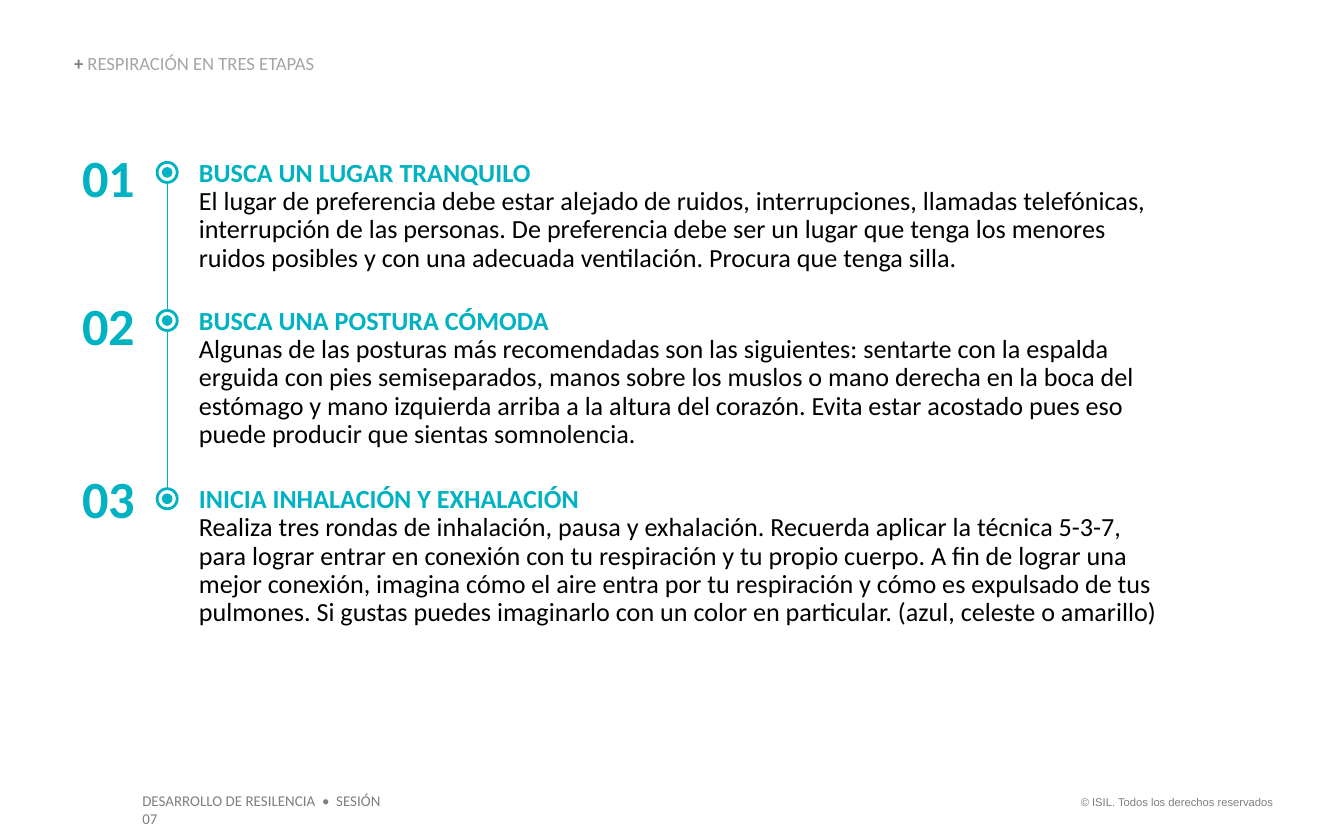
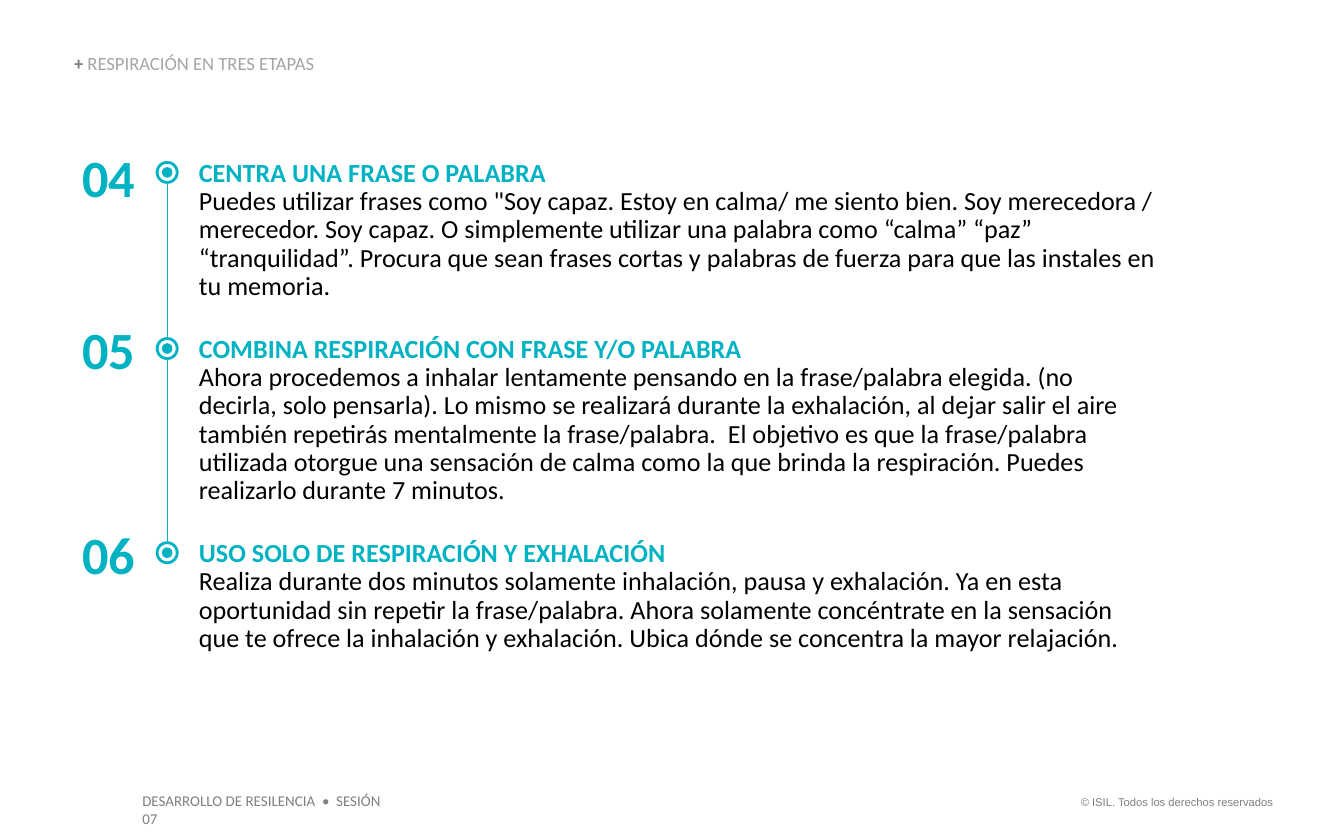
from dataclasses import dataclass

from lxml import etree
from pptx import Presentation
from pptx.dml.color import RGBColor
from pptx.enum.shapes import MSO_CONNECTOR, MSO_SHAPE
from pptx.enum.text import MSO_ANCHOR, MSO_AUTO_SIZE, PP_ALIGN
from pptx.oxml.ns import qn
from pptx.shapes.group import GroupShape
from pptx.slide import Slide
from pptx.text.text import TextFrame
from pptx.util import Cm, Pt

STRAIGHT = MSO_CONNECTOR.STRAIGHT
OVAL = MSO_SHAPE.OVAL
TOP, BOTTOM = MSO_ANCHOR.TOP, MSO_ANCHOR.BOTTOM
LEFT, CENTER, RIGHT = PP_ALIGN.LEFT, PP_ALIGN.CENTER, PP_ALIGN.RIGHT
FIT_SHAPE = MSO_AUTO_SIZE.SHAPE_TO_FIT_TEXT

TEAL, WHITE, BLACK = "00B2C2", "FFFFFF", "000000"
GRAY, LIGHT_GRAY = "7F7F7F", "A5A5A5"

# Timeline geometry, in centimetres
NUMBER_LEFT, NUMBER_WIDTH, NUMBER_HEIGHT = 1.5, 1.12, 1.19
TEXT_LEFT = 3.76
AXIS = 3.16
RING_DROP = 0.24
RING_SIZE, DOT_SIZE = 0.38, 0.2


@dataclass(frozen=True)
class Style:
    size: int
    color: str
    bold: bool = False
    font: str = "Calibri"


@dataclass(frozen=True)
class Box:
    left: float
    top: float
    width: float
    height: float


@dataclass(frozen=True)
class Step:
    number: str
    number_top: float
    box: Box
    heading: str
    body: str


@dataclass(frozen=True)
class Footer:
    text: str
    box: Box
    style: Style
    align: PP_ALIGN


HEADING = Style(14, TEAL, True)
BODY = Style(14, BLACK)
NUMBER = Style(28, TEAL, True)
PLUS = Style(10, GRAY, True)
TITLE = Style(10, LIGHT_GRAY)
TITLE_BOX = Box(1.4, 1.04, 6.76, 0.38)

FOOTERS = [
    Footer("© ISIL. Todos los derechos reservados", Box(20.02, 14.91, 4.29, 0.51),
           Style(6, GRAY, font="Arial"), RIGHT),
    Footer("DESARROLLO DE RESILENCIA  •  SESIÓN 07", Box(2.44, 14.83, 5.36, 0.61),
           Style(8, GRAY), LEFT),
]

SLIDES = [
    [
        Step("01", 2.74, Box(TEXT_LEFT, 3.02, 18.26, 2.16), "BUSCA UN LUGAR TRANQUILO",
             "El lugar de preferencia debe estar alejado de ruidos, interrupciones, "
             "llamadas telefónicas, interrupción de las personas. De preferencia debe "
             "ser un lugar que tenga los menores ruidos posibles y con una adecuada "
             "ventilación. Procura que tenga silla."),
        Step("02", 5.54, Box(TEXT_LEFT, 5.82, 18.26, 2.69), "BUSCA UNA POSTURA CÓMODA",
             "Algunas de las posturas más recomendadas son las siguientes: sentarte con "
             "la espalda erguida con pies semiseparados, manos sobre los muslos o mano "
             "derecha en la boca del estómago y mano izquierda arriba a la altura del "
             "corazón. Evita estar acostado pues eso puede producir que sientas "
             "somnolencia."),
        Step("03", 8.81, Box(TEXT_LEFT, 9.19, 18.26, 3.23),
             "INICIA INHALACIÓN Y EXHALACIÓN",
             "Realiza tres rondas de inhalación, pausa y exhalación. Recuerda aplicar la "
             "técnica 5-3-7, para lograr entrar en conexión con tu respiración y tu "
             "propio cuerpo. A fin de lograr una mejor conexión, imagina cómo el aire "
             "entra por tu respiración y cómo es expulsado de tus pulmones. Si gustas "
             "puedes imaginarlo con un color en particular. (azul, celeste o amarillo)"),
    ],
    [
        Step("04", 2.74, Box(TEXT_LEFT, 3.02, 18.26, 2.69), "CENTRA UNA FRASE O PALABRA",
             'Puedes utilizar frases como "Soy capaz. Estoy en calma/ me siento bien. Soy '
             "merecedora / merecedor. Soy capaz. O simplemente utilizar una palabra como "
             "“calma” “paz” “tranquilidad”. Procura que sean frases cortas y palabras de "
             "fuerza para que las instales en tu memoria."),
        Step("05", 5.99, Box(TEXT_LEFT, 6.35, 18.08, 3.23),
             "COMBINA RESPIRACIÓN CON FRASE Y/O PALABRA",
             "Ahora procedemos a inhalar lentamente pensando en la frase/palabra elegida. "
             "(no decirla, solo pensarla). Lo mismo se realizará durante la exhalación, al "
             "dejar salir el aire también repetirás mentalmente la frase/palabra.  El "
             "objetivo es que la frase/palabra utilizada otorgue una sensación de calma "
             "como la que brinda la respiración. Puedes realizarlo durante 7 minutos."),
        Step("06", 9.88, Box(TEXT_LEFT, 10.21, 18.08, 2.16),
             "USO SOLO DE RESPIRACIÓN Y EXHALACIÓN",
             "Realiza durante dos minutos solamente inhalación, pausa y exhalación. Ya en "
             "esta oportunidad sin repetir la frase/palabra. Ahora solamente concéntrate "
             "en la sensación que te ofrece la inhalación y exhalación. Ubica dónde se "
             "concentra la mayor relajación."),
    ],
]


def rgb(color: str) -> RGBColor:
    return RGBColor.from_string(color)


def apply_style(run, style: Style) -> None:
    run.font.name = style.font
    run.font.size = Pt(style.size)
    run.font.bold = style.bold
    run.font.color.rgb = rgb(style.color)


def add_text(parent: Slide | GroupShape, text: str, box: Box, styles: list[Style],
             align: PP_ALIGN = LEFT, anchor: MSO_ANCHOR = TOP,
             margins: tuple[float, float] = (0, 0)) -> TextFrame:
    """Add one paragraph; a vertical tab breaks the line, and styles go run by run."""
    frame = parent.shapes.add_textbox(
        Cm(box.left), Cm(box.top), Cm(box.width), Cm(box.height)).text_frame
    frame.word_wrap = True
    frame.auto_size = FIT_SHAPE
    frame.vertical_anchor = anchor
    frame.margin_left = frame.margin_right = Cm(margins[0])
    frame.margin_top = frame.margin_bottom = Cm(margins[1])
    paragraph = frame.paragraphs[0]
    paragraph.text = text
    paragraph.alignment = align
    for run, style in zip(paragraph.runs, styles):
        apply_style(run, style)
    for line_break in paragraph._p.findall(qn("a:br")):
        etree.SubElement(line_break, qn("a:rPr"), sz=str(styles[0].size * 100))
    return frame


def add_circle(group: GroupShape, middle: float, size: float, fill: str,
               outline: str | None = None) -> None:
    circle = group.shapes.add_shape(
        OVAL, Cm(AXIS - size / 2), Cm(middle - size / 2), Cm(size), Cm(size))
    circle.shadow.inherit = False
    circle.fill.solid()
    circle.fill.fore_color.rgb = rgb(fill)
    if outline:
        circle.line.color.rgb = rgb(outline)
        circle.line.width = Pt(1.5)
    else:
        circle.line.fill.background()


def add_axis(slide: Slide, steps: list[Step]) -> None:
    start, end = (Cm(step.box.top + RING_DROP) for step in (steps[0], steps[-1]))
    axis = slide.shapes.add_connector(STRAIGHT, Cm(AXIS), start, Cm(AXIS), end)
    axis.line.color.rgb = rgb(TEAL)
    axis.line.width = Pt(0.75)
    etree.SubElement(axis._element.spPr, qn("a:effectLst"))


def add_step(slide: Slide, step: Step) -> None:
    group = slide.shapes.add_group_shape()
    description = add_text(group, f"{step.heading}\v{step.body}", step.box, [HEADING, BODY])
    description.paragraphs[0].line_spacing = 0.9
    number_box = Box(NUMBER_LEFT, step.number_top, NUMBER_WIDTH, NUMBER_HEIGHT)
    add_text(group, step.number, number_box, [NUMBER], CENTER)
    middle = step.box.top + RING_DROP
    add_circle(group, middle, RING_SIZE, WHITE, TEAL)
    add_circle(group, middle, DOT_SIZE, TEAL)


def add_frame(slide: Slide) -> None:
    """Add the footers and the title that every slide shares."""
    for footer in FOOTERS:
        add_text(slide, footer.text, footer.box, [footer.style], footer.align,
                 margins=(0.25, 0.13))
    title = add_text(slide, "+ ", TITLE_BOX, [PLUS], anchor=BOTTOM).paragraphs[0]
    title.line_spacing = 0.9
    topic = title.add_run()
    topic.text = "RESPIRACIÓN EN TRES ETAPAS"
    apply_style(topic, TITLE)


def main() -> None:
    deck = Presentation()
    deck.slide_width, deck.slide_height = Cm(25.4), Cm(15.88)
    for steps in SLIDES:
        slide = deck.slides.add_slide(deck.slide_layouts[6])
        add_frame(slide)
        add_axis(slide, steps)
        for step in steps:
            add_step(slide, step)
    deck.save("out.pptx")


if __name__ == "__main__":
    main()
